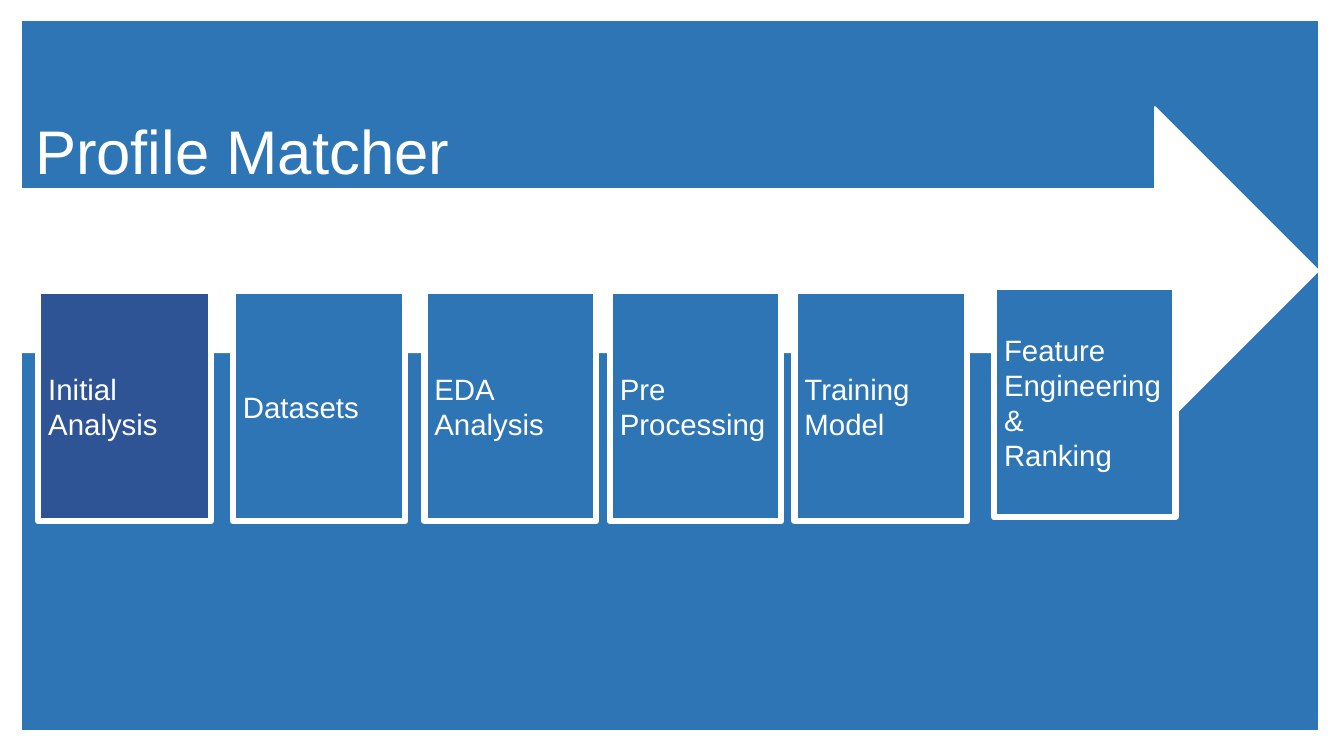
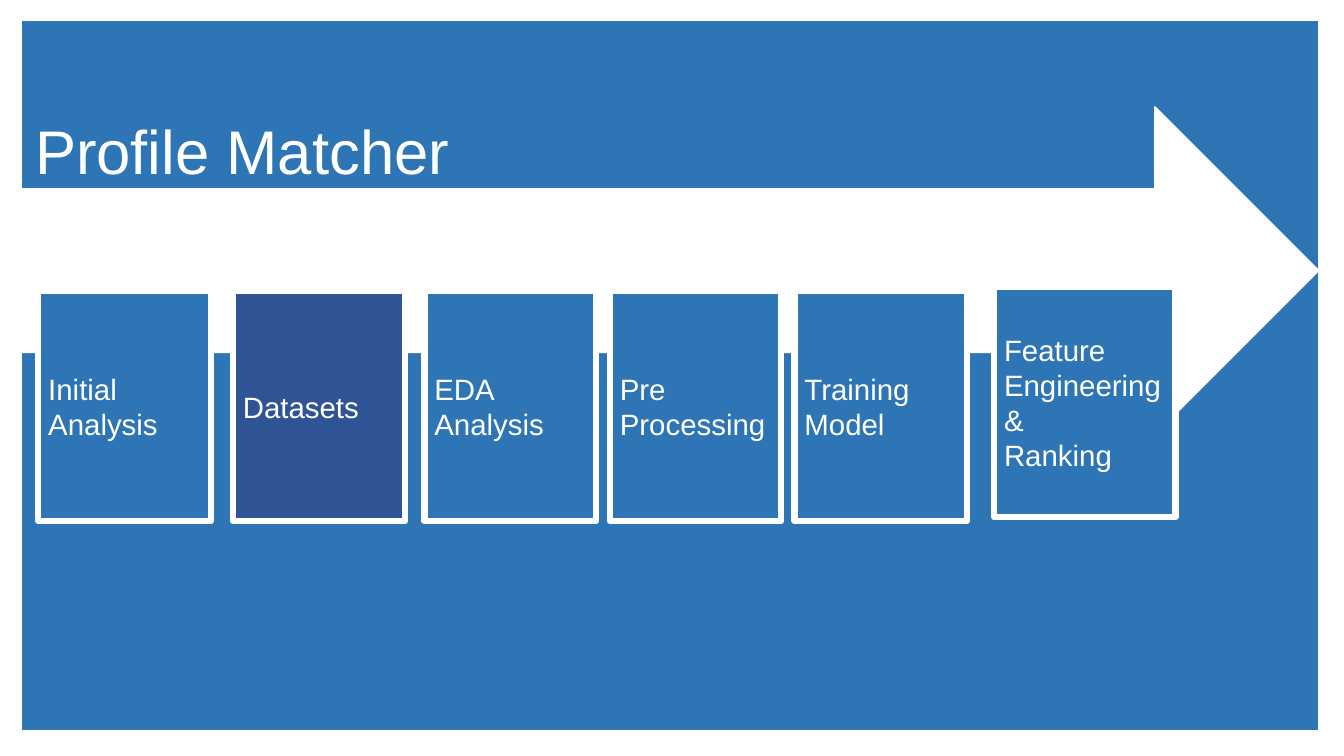
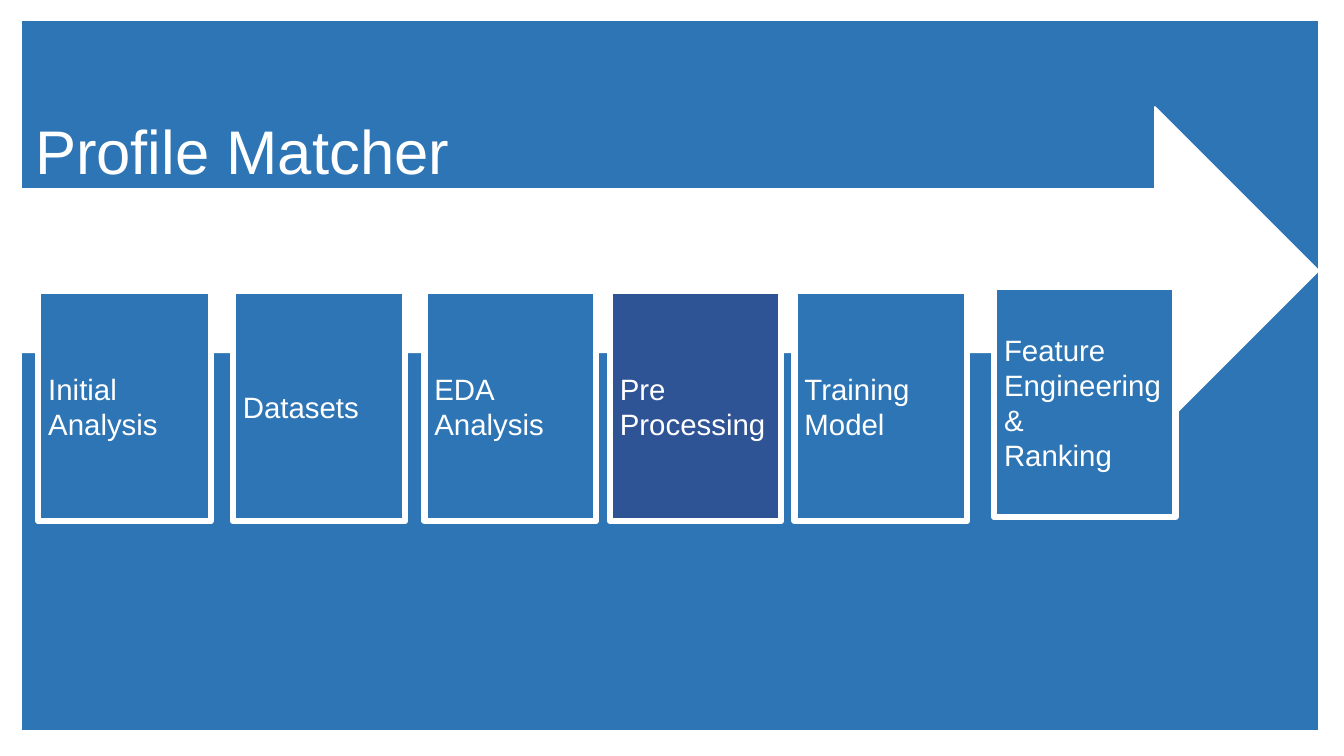
"""Build the three Profile Matcher roadmap slides, each with one stage highlighted."""
import pptx
import pptx.dml.color
import pptx.enum.shapes
import pptx.enum.text
import pptx.util

Inches = pptx.util.Inches
Pt = pptx.util.Pt
Shapes = pptx.enum.shapes.MSO_SHAPE

FONT = "Arial"
WHITE = "FFFFFF"
BLUE = "2E75B5"
HIGHLIGHT = "2F5496"
PANEL_LEFT, PANEL_WIDTH = 0.21, 12.87
STAGE_HEIGHT = 2.28
STAGES = [
    ("Initial Analysis", 0.38, 2.89, 1.71),
    ("Datasets", 2.31, 2.89, 1.71),
    ("EDA Analysis", 4.21, 2.89, 1.7),
    ("Pre\nProcessing", 6.05, 2.89, 1.7),
    ("Feature Engineering &\nRanking", 9.86, 2.85, 1.8),
    ("Training Model", 7.88, 2.89, 1.71),
]
HIGHLIGHTED_STAGES = ["Initial Analysis", "Datasets", "Pre\nProcessing"]


def color(value):
    return pptx.dml.color.RGBColor.from_string(value)


def add_block(slide, kind, left, top, width, height, fill, line_width=1):
    shape = slide.shapes.add_shape(
        kind, Inches(left), Inches(top), Inches(width), Inches(height))
    shape.shadow.inherit = False
    shape.fill.solid()
    shape.fill.fore_color.rgb = color(fill)
    shape.line.color.rgb = color(WHITE)
    shape.line.width = Pt(line_width)
    return shape


def write_text(shape, text, size, line_spacing=None):
    frame = shape.text_frame
    frame.word_wrap = True
    frame.vertical_anchor = pptx.enum.text.MSO_ANCHOR.MIDDLE
    frame.text = text
    for paragraph in frame.paragraphs:
        paragraph.alignment = pptx.enum.text.PP_ALIGN.LEFT
        paragraph.line_spacing = line_spacing
        paragraph.font.name = FONT
        paragraph.font.size = Pt(size)
        paragraph.font.color.rgb = color(WHITE)


def add_title(slide, text):
    title = slide.shapes.add_textbox(
        Inches(0.25), Inches(0.91), Inches(11.5), Inches(1.25))
    write_text(title, text, 44, line_spacing=0.9)


def add_stage(slide, text, left, top, width, fill):
    stage = add_block(slide, Shapes.RECTANGLE, left, top, width, STAGE_HEIGHT, fill, 4.5)
    write_text(stage, text, 21)


def add_roadmap_slide(presentation, highlighted):
    slide = presentation.slides.add_slide(presentation.slide_layouts[6])
    add_block(slide, Shapes.RECTANGLE, PANEL_LEFT, 0.2, PANEL_WIDTH, 7.05, BLUE)
    add_block(slide, Shapes.RIGHT_ARROW, PANEL_LEFT, 1.06, PANEL_WIDTH, 3.25, WHITE)
    add_title(slide, "Profile Matcher")
    for text, left, top, width in STAGES:
        fill = HIGHLIGHT if text == highlighted else BLUE
        add_stage(slide, text, left, top, width, fill)


def main():
    presentation = pptx.Presentation()
    presentation.slide_width = Inches(13.33)
    presentation.slide_height = Inches(7.5)
    for highlighted in HIGHLIGHTED_STAGES:
        add_roadmap_slide(presentation, highlighted)
    presentation.save("out.pptx")


if __name__ == "__main__":
    main()
